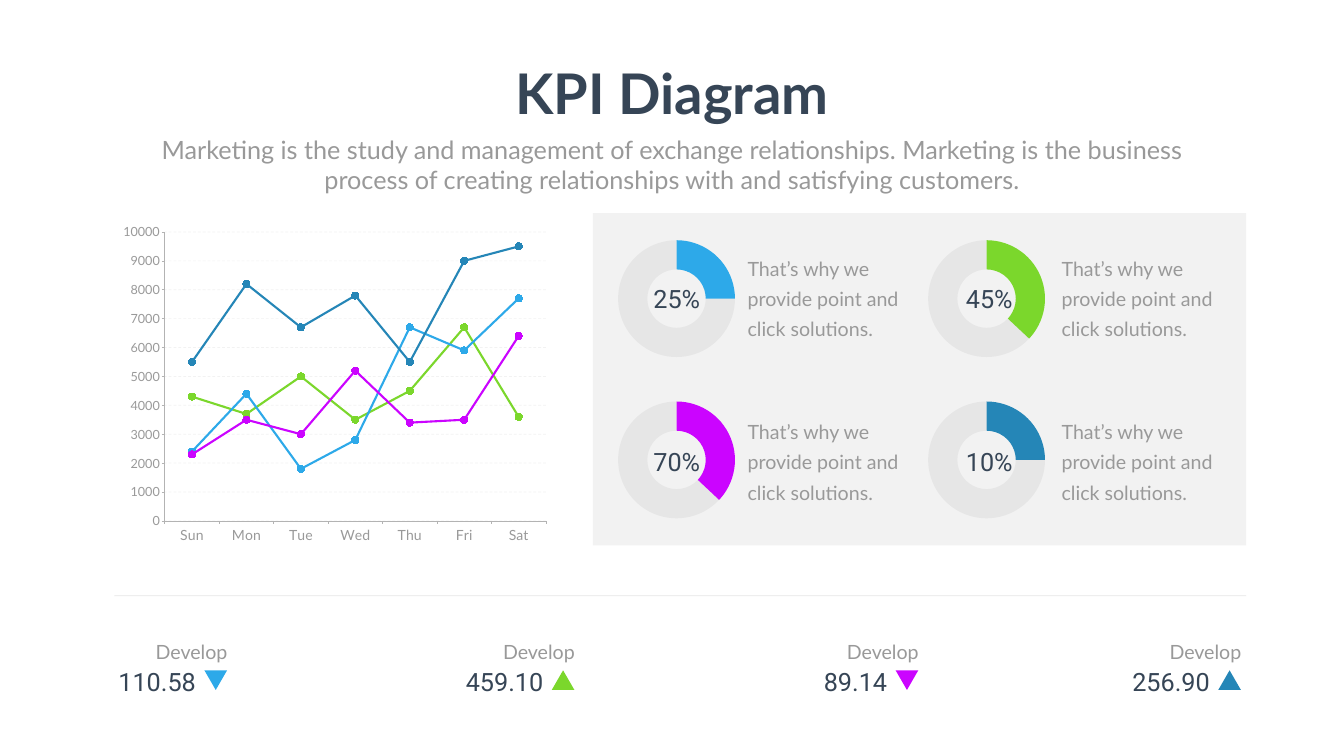
from lxml.etree import SubElement
from pptx import Presentation
from pptx.chart.data import CategoryChartData
from pptx.dml.color import RGBColor
from pptx.enum.chart import XL_CHART_TYPE as ChartType, XL_MARKER_STYLE as Marker, XL_TICK_MARK as Tick
from pptx.enum.dml import MSO_LINE as Dash
from pptx.enum.shapes import MSO_CONNECTOR as Connector, MSO_SHAPE as Shape
from pptx.enum.text import MSO_ANCHOR as Anchor, MSO_AUTO_SIZE as AutoSize, PP_ALIGN as Align
from pptx.oxml.ns import qn
from pptx.util import Pt

GREEN, BLUE, PURPLE, TEAL = "7BD72C", "2DA9E9", "CB04FF", "2586B7"
NAVY, TEXT_GREY, GREY, AXIS_GREY = "364556", "999999", "808080", "B3B3B3"


def paint(fill, color):
    fill.solid()
    fill.fore_color.rgb = RGBColor.from_string(color)


def write(shape, text, size=28, font="Lato", color=TEXT_GREY, bold=False,
          align=Align.LEFT, spacing=None, wrap=True):
    frame = shape.text_frame
    frame.text = text
    frame.word_wrap = wrap
    frame.auto_size = AutoSize.SHAPE_TO_FIT_TEXT
    frame.vertical_anchor = Anchor.TOP
    paragraph = frame.paragraphs[0]
    paragraph.alignment = align
    paragraph.space_before = Pt(0)
    if spacing:
        paragraph.line_spacing = Pt(spacing)
    paragraph.font.size, paragraph.font.name, paragraph.font.bold = Pt(size), font, bold
    paint(paragraph.font.fill, color)


prs = Presentation()
prs.slide_width, prs.slide_height = Pt(1919.5), Pt(1080)
slide = prs.slides.add_slide(prs.slide_layouts[0])
shapes = slide.shapes

# Heading
title, subtitle = slide.placeholders
title.left, title.top, title.width, title.height = Pt(723.6), Pt(80.6), Pt(472.3), Pt(104.4)
write(title, "KPI Diagram", size=80, color=NAVY, bold=True, align=Align.CENTER, wrap=False)
subtitle.left, subtitle.top, subtitle.width, subtitle.height = Pt(210.2), Pt(188), Pt(1499), Pt(94.3)
write(subtitle, "Marketing is the study and management of exchange relationships. Marketing is "
      "the business process of creating relationships with and satisfying customers.",
      size=36, align=Align.CENTER)

# Weekly line chart
week = CategoryChartData()
week.categories = ["Sun", "Mon", "Tue", "Wed", "Thu", "Fri", "Sat"]
week.add_series("Series 1", [4300, 3700, 5000, 3500, 4500, 6700, 3600])
week.add_series("Series 2", [2400, 4400, 1800, 2800, 6700, 5900, 7700])
week.add_series("Series 3", [2300, 3500, 3000, 5200, 3400, 3500, 6400])
week.add_series("Series 4", [5500, 8200, 6700, 7800, 5500, 9000, 9500])
trend = shapes.add_chart(ChartType.LINE_MARKERS, Pt(163.4), Pt(311), Pt(625.7), Pt(474.5), week).chart
trend.has_legend = trend.has_title = False
trend.font.size, trend.font.name = Pt(18), "Lato"
paint(trend.font.fill, TEXT_GREY)
trend.plots[0].vary_by_categories = False
for series, color in zip(trend.plots[0].series, (GREEN, BLUE, PURPLE, TEAL)):
    series.smooth = False
    series.format.line.width = Pt(3)
    paint(series.format.line.fill, color)
    series.marker.style, series.marker.size = Marker.CIRCLE, 10
    paint(series.marker.format.fill, color)
    paint(series.marker.format.line.fill, color)
days, amounts = trend.category_axis, trend.value_axis
for axis, size in ((days, 20), (amounts, 18)):
    axis.major_tick_mark, axis.minor_tick_mark = Tick.OUTSIDE, Tick.NONE
    axis.tick_labels.font.size, axis.tick_labels.font.name = Pt(size), "Lato"
    paint(axis.tick_labels.font.fill, TEXT_GREY)
    axis.format.line.width = Pt(1)
    paint(axis.format.line.fill, AXIS_GREY)
amounts.minimum_scale, amounts.maximum_scale, amounts.major_unit = 0, 10000, 1000
grid = amounts.major_gridlines.format.line
grid.width = Pt(1)
paint(grid.fill, GREY)
grid.dash_style = Dash.DASH
plot_areas = [(trend, (0.115, 0.043, 0.87, 0.87))]

# Panel behind the rings
panel = shapes.add_shape(Shape.RECTANGLE, Pt(846.7), Pt(304.6), Pt(933.1), Pt(474.5))
panel.shadow.inherit = False
paint(panel.fill, GREY)
panel.line.fill.background()
faint_parts = [(trend, 10), (panel, 10)]

# Rings: left or top of ring, percentage and text for each column and row
columns = [(866.9, 915.8, 1060.6), (1309.7, 1362.2, 1509.1)]
rows = [(333.4, 401, 353.5), (563.8, 633.6, 587.5)]
rings = [("25%", 25, BLUE), ("45%", 37, GREEN), ("70%", 37, PURPLE), ("10%", 25, TEAL)]
for index, (percentage, share, color) in enumerate(rings):
    ring_x, number_x, text_x = columns[index % 2]
    ring_y, number_y, text_y = rows[index // 2]
    shares = CategoryChartData()
    shares.categories = ["1", "2"]
    shares.add_series("Series 1", [share, 100 - share])
    ring = shapes.add_chart(ChartType.DOUGHNUT, Pt(ring_x), Pt(ring_y), Pt(198.7), Pt(186.5), shares).chart
    ring.has_legend = ring.has_title = False
    ring.font.size, ring.font.name = Pt(10), "Calibri"
    paint(ring.font.fill, TEXT_GREY)
    for point_index, point_color in enumerate((color, GREY)):
        point = ring.plots[0].series[0].points[point_index]
        paint(point.format.fill, point_color)
        point.format.line.fill.background()
    ring.element.find(".//" + qn("c:holeSize")).set("val", "80")
    plot_areas.append((ring, (0.08, 0.05, 0.84, 0.9)))
    faint_parts.append((ring, 10))

    number = shapes.add_textbox(Pt(number_x), Pt(number_y), Pt(101.5), Pt(51))
    write(number, percentage, size=36, font="Roboto", color=NAVY, align=Align.CENTER)
    reason = shapes.add_textbox(Pt(text_x), Pt(text_y), Pt(255.6), Pt(132.5))
    write(reason, "That’s why we provide point and click solutions.", spacing=43)

# Divider
divider = shapes.add_connector(Connector.STRAIGHT, Pt(163.4), Pt(851), Pt(1779.8), Pt(851))
divider.line.width = Pt(1)
paint(divider.line.fill, GREY)
SubElement(divider.element.find(qn("p:spPr")), qn("a:effectLst"))
faint_parts.append((divider, 20))

# Key figures with an arrow for rise or fall
figures = [(185, "110.58", BLUE, 180), (681.1, "459.10", GREEN, 0),
           (1172.2, "89.14", PURPLE, 180), (1633, "256.90", TEAL, 0)]
for left, amount, color, rotation in figures:
    figure = shapes.add_group_shape().shapes
    caption = figure.add_textbox(Pt(left), Pt(903.6), Pt(146.9), Pt(44.6))
    write(caption, "Develop", align=Align.RIGHT, spacing=40.8)
    value = figure.add_textbox(Pt(left - 45), Pt(948.2), Pt(146.9), Pt(51))
    write(value, amount, size=36, font="Roboto", color=NAVY, align=Align.RIGHT)
    arrow = figure.add_shape(Shape.ISOSCELES_TRIANGLE, Pt(left + 106.9), Pt(957.6), Pt(32.4), Pt(28.1))
    arrow.rotation = rotation
    arrow.shadow.inherit = False
    paint(arrow.fill, color)
    arrow.line.fill.background()

# Fixed plot areas
for chart, box in plot_areas:
    plot_area = chart.element.find(".//" + qn("c:plotArea"))
    for layout in plot_area.findall(qn("c:layout")):
        plot_area.remove(layout)
    layout = SubElement(plot_area, qn("c:layout"))
    plot_area.insert(0, layout)
    manual = SubElement(layout, qn("c:manualLayout"))
    settings = [("layoutTarget", "inner"), ("xMode", "edge"), ("yMode", "edge"), *zip("xywh", box)]
    for tag, setting in settings:
        SubElement(manual, qn("c:" + tag)).set("val", str(setting))

# Transparent greys
for part, percent in faint_parts:
    for grey in part.element.iter(qn("a:srgbClr")):
        if grey.get("val") == GREY:
            SubElement(grey, qn("a:alpha")).set("val", str(percent * 1000))

prs.save("out.pptx")
